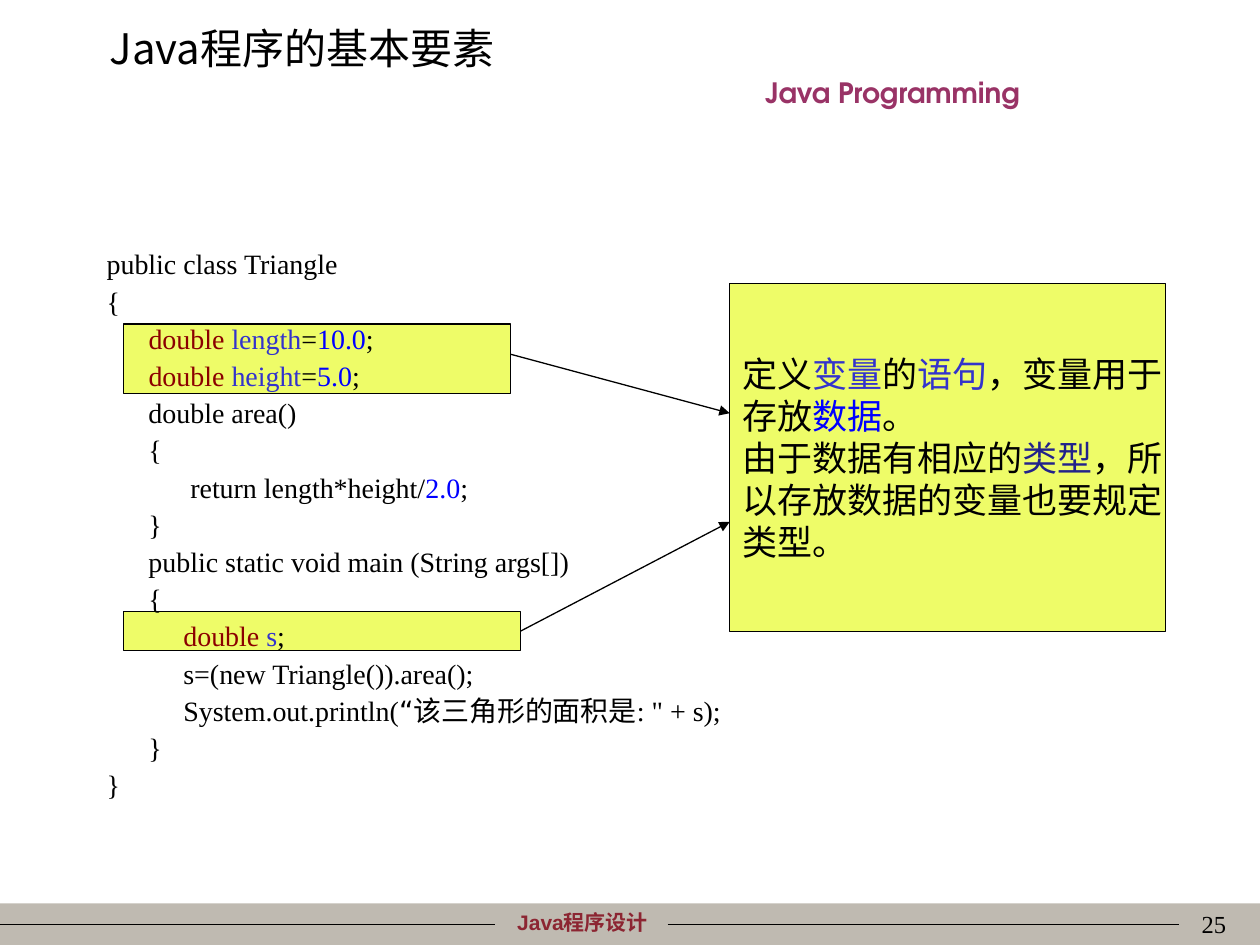
from lxml.etree import SubElement
from pptx import Presentation
from pptx.dml.color import RGBColor
from pptx.enum.shapes import MSO_CONNECTOR, MSO_SHAPE
from pptx.enum.text import MSO_ANCHOR, PP_ALIGN
from pptx.oxml.ns import qn
from pptx.util import Cm, Pt

BLACK, YELLOW = "000000", "EEFC68"
MAROON, VIOLET, BLUE, NAVY = "8B0000", "3333CC", "0000FF", "22228B"

CODE = [
    ["public class Triangle"],
    ["{"],
    ["      ", ("double ", MAROON), ("length", VIOLET), "=", ("10.0", BLUE), ";"],
    ["      ", ("double ", MAROON), ("height", VIOLET), "=", ("5.0", BLUE), ";"],
    ["      double area()"],
    ["      {"],
    ["            return length*height/", ("2.0", BLUE), ";"],
    ["      }"],
    ["      public static void main (String args[])"],
    ["      {"],
    ["           ", ("double ", MAROON), ("s", VIOLET), ";"],
    ["           s=(new Triangle()).area();"],
    ['           System.out.println(“该三角形的面积是: " + s);'],
    ["      }"],
    ["}"],
]

NOTE = [
    ["定义", ("变量", VIOLET), "的", ("语句", VIOLET), "，变量用于"],
    ["存放", ("数据", BLUE), "。"],
    ["由于数据有相应的", ("类型", NAVY), "，所"],
    ["以存放数据的变量也要规定"],
    ["类型。"],
]


def rgb(value):
    return RGBColor.from_string(value)


def write(tf, lines, font, size, color=BLACK, bold=False,
          align=PP_ALIGN.LEFT, before=0, spacing=None, asian=None):
    for i, line in enumerate(lines):
        p = tf.paragraphs[0] if i == 0 else tf.add_paragraph()
        p.alignment = align
        p.line_spacing = spacing
        if i:
            p.space_before = Pt(before)
        for part in line:
            text, tint = (part, color) if isinstance(part, str) else part
            r = p.add_run()
            r.text = text
            r.font.name = font
            r.font.size = Pt(size)
            r.font.bold = bold
            r.font.color.rgb = rgb(tint)
            SubElement(r.font._element, qn("a:ea"), typeface=asian or font)


def add_text(s, x, y, w, h, lines, font, size, anchor=MSO_ANCHOR.TOP, **style):
    tf = s.shapes.add_textbox(Cm(x), Cm(y), Cm(w), Cm(h)).text_frame
    tf.word_wrap = True
    tf.vertical_anchor = anchor
    write(tf, lines, font, size, **style)


def add_rect(s, x, y, w, h, fill, line=None):
    sp = s.shapes.add_shape(MSO_SHAPE.RECTANGLE, Cm(x), Cm(y), Cm(w), Cm(h))
    sp.shadow.inherit = False
    sp.fill.solid()
    sp.fill.fore_color.rgb = rgb(fill)
    if line:
        sp.line.color.rgb = rgb(line)
        sp.line.width = Pt(0.75)
    else:
        sp.line.fill.background()
    return sp


def add_line(s, x1, y1, x2, y2, arrow=False):
    line = s.shapes.add_connector(
        MSO_CONNECTOR.STRAIGHT, Cm(x1), Cm(y1), Cm(x2), Cm(y2))
    line.line.color.rgb = rgb(BLACK)
    line.line.width = Pt(0.75)
    if arrow:
        SubElement(line.line._get_or_add_ln(), qn("a:tailEnd"), type="triangle")
    SubElement(line._element.spPr, qn("a:effectLst"))
    return line


def add_footer(s, x, y, w, h):
    add_rect(s, x, y, w, h, "BFBAB1")
    add_text(s, x + 9.19, y, 5.11, 0.76, [["Java程序设计"]], "Arial", 12,
             color="8C2532", bold=True, align=PP_ALIGN.CENTER)
    for start, end in ((0, 9.98), (13.46, 23.77)):
        add_line(s, x + start, y + h / 2, x + end, y + h / 2)
    add_text(s, x + 19.69, y, 5.28, 1.27, [["25"]], "Times New Roman", 14,
             align=PP_ALIGN.RIGHT)


def add_header(s, x, y, w, h):
    add_text(s, x + 10.94, y + 1.07, 10.19, 0.94, [["Java Programming"]],
             "TeX Gyre Adventor", 16, color="993366", bold=True,
             align=PP_ALIGN.CENTER)
    add_text(s, x, y, w, h, [["Java程序的基本要素"]], "Noto Sans CJK SC", 24,
             anchor=MSO_ANCHOR.BOTTOM)


def add_diagram(s, x, y, w, h):
    add_rect(s, x, y + 0.81, 7.8, 1.4, YELLOW, BLACK)
    local = add_rect(s, x, y + 6.61, 8, 0.79, YELLOW, BLACK)
    note_w = 8.79
    note_x = x + w - note_w
    add_line(s, x + 7.8, y + 1.42, note_x, y + 2.61, arrow=True)
    link = add_line(s, x + 8, y + 7, note_x, y + 4.8, arrow=True)
    link.begin_connect(local, 3)
    note = add_rect(s, note_x, y, note_w, h, YELLOW, BLACK)
    tf = note.text_frame
    tf.word_wrap = False
    tf.vertical_anchor = MSO_ANCHOR.MIDDLE
    write(tf, NOTE, "DejaVu Sans", 20)


def add_code(s, x, y, w, h):
    add_text(s, x, y, w, h, CODE, "Times New Roman", 16, before=4, spacing=0.9,
             asian="DejaVu Sans")


def main():
    prs = Presentation()
    prs.slide_width, prs.slide_height = Cm(25.4), Cm(19.05)
    s = prs.slides.add_slide(prs.slide_layouts[6])
    add_footer(s, 0, 18.21, 25.4, 0.84)
    add_header(s, 1.96, 0.33, 21.59, 1.27)
    add_diagram(s, 2.49, 5.72, 21.01, 7.01)
    add_code(s, 1.9, 4.93, 22.66, 11.81)
    prs.save("out.pptx")


if __name__ == "__main__":
    main()
